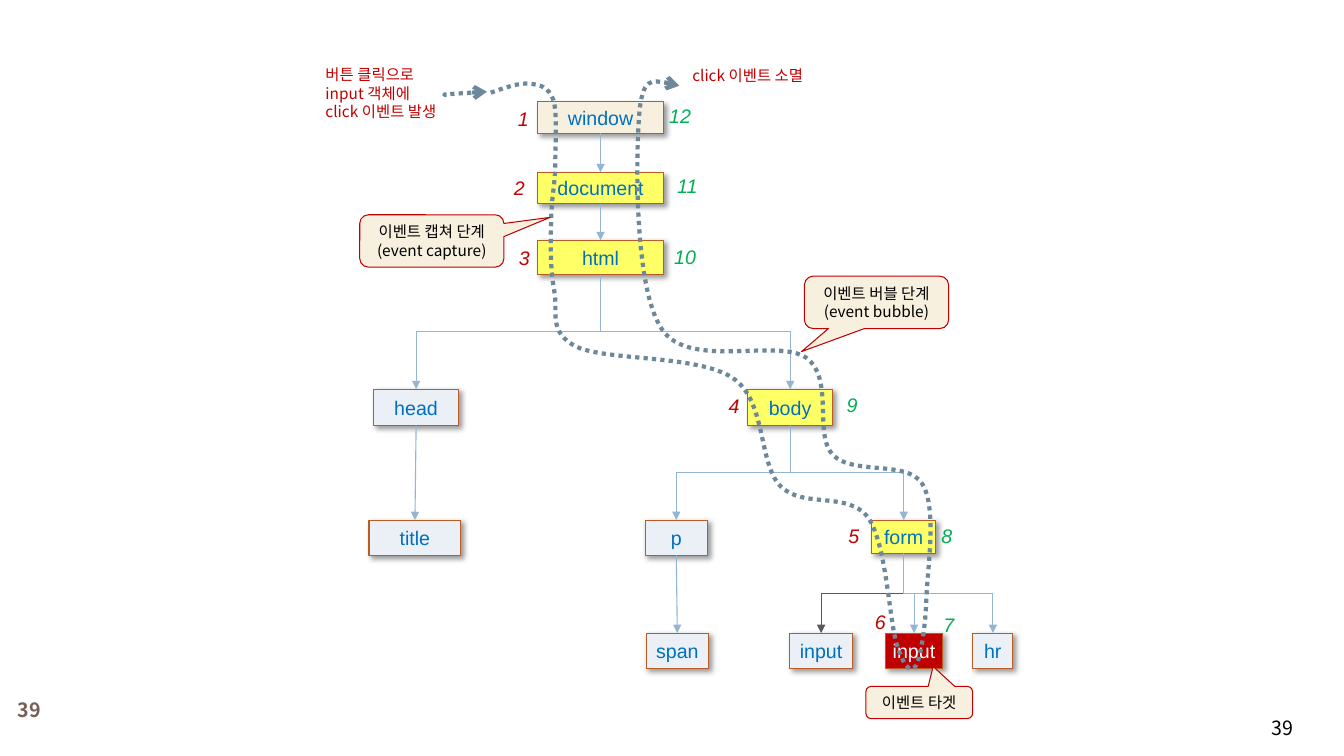
from dataclasses import dataclass

from lxml.etree import SubElement
from pptx import Presentation
from pptx.dml.color import RGBColor
from pptx.enum.dml import MSO_LINE
from pptx.enum.shapes import MSO_CONNECTOR, MSO_SHAPE
from pptx.enum.text import MSO_ANCHOR, PP_ALIGN
from pptx.oxml.ns import qn
from pptx.util import Pt


@dataclass(frozen=True)
class Theme:
    latin: str = "Arial"
    korean: str = "Noto Sans CJK KR"
    label_size: float = 14
    note_size: float = 11
    black: str = "000000"
    white: str = "FFFFFF"
    blue: str = "0070C0"
    red: str = "C00000"
    green: str = "00B050"
    brown: str = "775F55"
    cream: str = "F7F0DE"
    yellow: str = "FFFF66"
    pale: str = "EAF0F6"
    border: str = "B95B22"
    branch: str = "94B6D2"
    dark_branch: str = "595959"
    route: str = "6D879B"


THEME = Theme()

# name: (label, left, top, width, height, fill)
NODES = {
    "window": ("window", 384, 72.7, 90, 22.5, THEME.cream),
    "document": ("document", 384, 123.1, 90, 22.5, THEME.yellow),
    "html": ("html", 384, 171.6, 90, 24.6, THEME.yellow),
    "head": ("head", 267, 278, 60.5, 25.8, THEME.pale),
    "body": ("body", 534.2, 278, 60.5, 25.8, THEME.yellow),
    "title": ("title", 263.6, 371.5, 65.6, 25.2, THEME.pale),
    "p": ("p", 460.8, 371.5, 44.6, 25.2, THEME.pale),
    "form": ("form", 622.8, 371.5, 45.4, 23.8, THEME.yellow),
    "span": ("span", 461.5, 452.2, 44.6, 25.2, THEME.pale),
    "sibling": ("input", 564.2, 452.2, 44.6, 25.2, THEME.pale),
    "target": ("input", 632.4, 452.2, 41, 25.2, THEME.red),
    "hr": ("hr", 694.8, 452.2, 28.8, 25.2, THEME.pale),
}
STRAIGHT_LINKS = [("window", "document"), ("document", "html"),
                  ("head", "title"), ("p", "span")]
BENT_LINKS = [("html", "head"), ("html", "body"), ("body", "p"), ("body", "form"),
              ("form", "sibling"), ("form", "target"), ("form", "hr")]

# Start point, then three points for each curve
EVENT_ROUTE = [
    (350.6, 66.2),
    (360.7, 62.6), (370.8, 59), (378, 59.8),
    (385.9, 60.5), (391.7, 61.9), (395.3, 71.3),
    (398.2, 80.6), (396.7, 102.2), (396.7, 116.6),
    (396.7, 131), (393.8, 141.8), (393.8, 157),
    (393.1, 172.1), (393.1, 193), (396, 208.1),
    (398.9, 223.2), (391, 236.9), (411.8, 247.7),
    (433.4, 257.8), (499, 253.4), (523.4, 270),
    (547.9, 286.6), (541.4, 330.5), (557.3, 347),
    (573.1, 363.6), (605.5, 350.6), (619.9, 369.4),
    (633.6, 388.8), (635, 443.5), (640.8, 460.8),
    (646.6, 478.8), (650.9, 480.2), (654.5, 475.2),
    (657.4, 469.4), (661, 450), (661.7, 428.4),
    (662.4, 406.8), (669.6, 362.9), (658.8, 345.6),
    (648, 328.3), (609.1, 339.8), (594.7, 324.7),
    (581, 309.6), (596.2, 270.7), (576, 255.6),
    (555.1, 241.2), (492.5, 264.2), (473, 235.4),
    (452.9, 206.6), (454.3, 112.3), (456.5, 83.5),
    (458.6, 54), (471.6, 57.6), (485.3, 61.2),
]
ENTRY_ROUTE = [(319, 67.7), (311.8, 67.7), (347.8, 65.5), (347.8, 65.5)]

# Left and top of the step numbers, in order from 1
STEPS = [(362.9, 72.7), (360, 122.4), (363.6, 172.1), (513.4, 277.9),
         (599, 370.8), (617.8, 432), (666.7, 434.2), (665.3, 370.8),
         (597.6, 277.2), (474.5, 171.4), (476.6, 121), (470.9, 70.6)]
CAPTURE_STEPS = 6

# lines, left, top, width, height
NOTES = [
    (["버튼 클릭으로", "input 객체에", "click 이벤트 발생"], 225.4, 43.2, 100.1, 47.5),
    (["click 이벤트 소멸"], 487.4, 43.9, 100.1, 20.9),
]
# lines, left, top, width, height, pointer position
CALLOUTS = [
    (["이벤트 캡쳐 단계", "(event capture)"], 257, 153.4, 103, 37.4, (0.82, -0.45)),
    (["이벤트 버블 단계", "(event bubble)"], 574.6, 197.3, 103, 37.4, (-0.52, 0.94)),
    (["이벤트 타겟"], 618.5, 490.3, 76.3, 23, (0.13, -1.12)),
]
PAGE_NUMBER = "39"


def color(code):
    return RGBColor.from_string(code)


def write(shape, lines, font_name, size, ink, align=PP_ALIGN.LEFT,
          anchor=MSO_ANCHOR.TOP, bold=False, italic=False):
    frame = shape.text_frame
    frame.word_wrap = False
    frame.vertical_anchor = anchor
    for index, line in enumerate(lines):
        para = frame.paragraphs[0] if index == 0 else frame.add_paragraph()
        para.alignment = align
        span = para.add_run()
        span.text = line
        font = span.font
        font.name, font.size = font_name, Pt(size)
        font.bold, font.italic = bold, italic
        font.color.rgb = color(ink)
        SubElement(font._element, qn("a:ea"), typeface=font_name)
    return frame


def add_text(page, lines, place, *style, **options):
    box = page.shapes.add_textbox(*map(Pt, place))
    write(box, lines, *style, **options)


def add_panel(page, kind, place, fill, border):
    panel = page.shapes.add_shape(kind, *map(Pt, place))
    panel.shadow.inherit = False
    panel.fill.solid()
    panel.fill.fore_color.rgb = color(fill)
    panel.line.color.rgb = color(border)
    panel.line.width = Pt(0.75)
    return panel


def add_node(page, label, left, top, width, height, fill):
    node = add_panel(page, MSO_SHAPE.RECTANGLE, (left, top, width, height), fill, THEME.border)
    effects = node._element.spPr.find(qn("a:effectLst"))
    shadow = SubElement(effects, qn("a:outerShdw"), blurRad=str(Pt(4)), dist=str(Pt(3)),
                        dir=str(45 * 60000), algn="tl", rotWithShape="0")
    shade = SubElement(shadow, qn("a:srgbClr"), val=THEME.black)
    SubElement(shade, qn("a:alpha"), val="40000")
    ink = THEME.white if fill == THEME.red else THEME.blue
    frame = write(node, [label], THEME.latin, THEME.label_size, ink,
                  PP_ALIGN.CENTER, MSO_ANCHOR.MIDDLE)
    frame.margin_left = frame.margin_right = Pt(2.9)
    return node


def add_arrowhead(shape, kind):
    SubElement(shape._element.spPr.find(qn("a:ln")), qn("a:tailEnd"), type=kind)


def add_link(page, kind, parent, child, ink):
    link = page.shapes.add_connector(kind, 0, 0, 0, 0)
    link.begin_connect(parent, 2)
    link.end_connect(child, 0)
    link.line.color.rgb = color(ink)
    link.line.width = Pt(0.79)
    add_arrowhead(link, "triangle")
    SubElement(link._element.spPr, qn("a:effectLst"))
    return link


def turn_downwards(link):
    """Rotate an elbow so that it leaves and arrives vertically."""
    across = link.end_x - link.begin_x
    down = link.end_y - link.begin_y
    middle_x, middle_y = link.begin_x + across // 2, link.begin_y + down // 2
    link.width, link.height = down, abs(across)
    link.left, link.top = middle_x - down // 2, middle_y - abs(across) // 2
    frame = link._element.spPr.find(qn("a:xfrm"))
    rightward = across > 0
    frame.set("rot", str((270 if rightward else 90) * 60000))
    frame.set("flipH", "1" if rightward else "0")


def add_route(page, points):
    """Draw a dotted arrow whose points after the first are Bezier triples."""
    start, *others = [(Pt(x), Pt(y)) for x, y in points]
    builder = page.shapes.build_freeform(*start)
    builder.add_line_segments(others, close=False)
    route = builder.convert_to_shape()
    route.shadow.inherit = False
    route.fill.background()
    route.line.color.rgb = color(THEME.route)
    route.line.width = Pt(3)
    route.line.dash_style = MSO_LINE.ROUND_DOT
    add_arrowhead(route, "arrow")
    outline = next(route._element.iter(qn("a:path")))
    segments = iter(outline.findall(qn("a:lnTo")))
    for triple in zip(segments, segments, segments):
        curve = SubElement(outline, qn("a:cubicBezTo"))
        for segment in triple:
            curve.append(segment[0])
            outline.remove(segment)


def main():
    deck = Presentation()
    deck.slide_width, deck.slide_height = Pt(960), Pt(540)
    page = deck.slides.add_slide(deck.slide_layouts[6])

    add_text(page, [PAGE_NUMBER], (901.4, 507.6, 51.1, 24.5),
             THEME.korean, THEME.label_size, THEME.black)
    add_text(page, [PAGE_NUMBER], (0, 491.8, 41.8, 30.2), THEME.korean, THEME.label_size,
             THEME.brown, PP_ALIGN.CENTER, MSO_ANCHOR.MIDDLE, bold=True)

    nodes = {name: add_node(page, *node) for name, node in NODES.items()}
    for parent, child in STRAIGHT_LINKS:
        add_link(page, MSO_CONNECTOR.STRAIGHT, nodes[parent], nodes[child], THEME.branch)
    for parent, child in BENT_LINKS:
        ink = THEME.dark_branch if child == "sibling" else THEME.branch
        turn_downwards(add_link(page, MSO_CONNECTOR.ELBOW, nodes[parent], nodes[child], ink))

    for points in (EVENT_ROUTE, ENTRY_ROUTE):
        add_route(page, points)
    for number, (left, top) in enumerate(STEPS, 1):
        ink = THEME.red if number <= CAPTURE_STEPS else THEME.green
        width = 22.3 if number < 10 else 30.2
        add_text(page, [str(number)], (left, top, width, 24.5),
                 THEME.latin, THEME.label_size, ink, italic=True)
    for lines, *place in NOTES:
        add_text(page, lines, place, THEME.korean, THEME.note_size, THEME.red)
    for lines, *place, pointer in CALLOUTS:
        callout = add_panel(page, MSO_SHAPE.ROUNDED_RECTANGULAR_CALLOUT, place,
                            THEME.cream, THEME.red)
        callout.adjustments[0], callout.adjustments[1] = pointer
        write(callout, lines, THEME.korean, THEME.note_size, THEME.black,
              PP_ALIGN.CENTER, MSO_ANCHOR.MIDDLE)
    deck.save("out.pptx")


if __name__ == "__main__":
    main()
